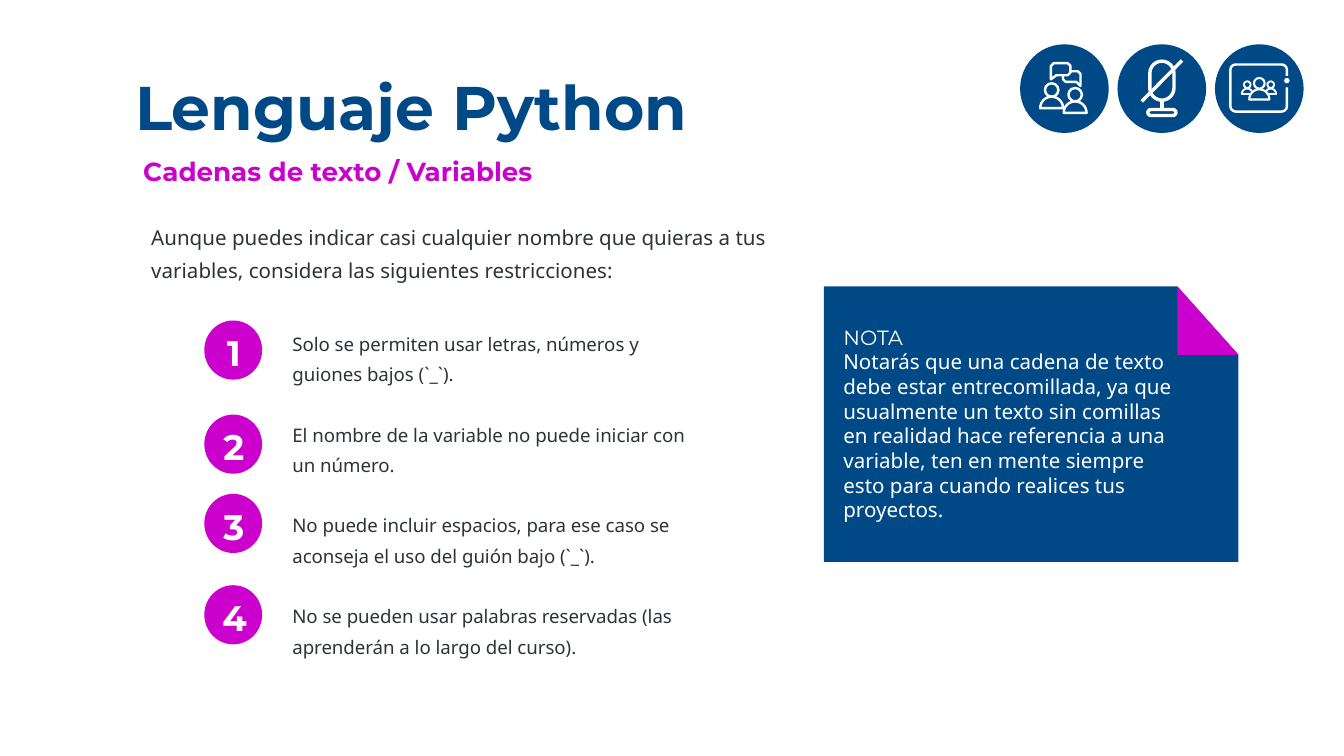
import math

import lxml.etree
import pptx
import pptx.dml.color
import pptx.enum.shapes
import pptx.enum.text
import pptx.oxml.ns
import pptx.util

RGBColor = pptx.dml.color.RGBColor
SHAPE = pptx.enum.shapes.MSO_SHAPE
ALIGN = pptx.enum.text.PP_ALIGN

BLUE = RGBColor(0x00, 0x49, 0x87)
MAGENTA = RGBColor(0xCC, 0x00, 0xCC)
WHITE = RGBColor(0xFF, 0xFF, 0xFF)
INK = RGBColor(0x2E, 0x33, 0x3A)
HEADING, BODY = "Montserrat", "Noto Sans"


def arc(center_x, center_y, radius_x, radius_y, start, end, steps=16):
    """Points on an ellipse, clockwise from the right, angles in degrees."""
    angles = [math.radians(start + (end - start) * step / steps) for step in range(steps + 1)]
    return [(center_x + radius_x * math.cos(a), center_y + radius_y * math.sin(a)) for a in angles]


class SlideBuilder:
    """Places elements on a grid of square cells, 100 columns across the slide."""

    def __init__(self, deck):
        self.cell = deck.slide_width / 100
        self.margin = pptx.util.Pt(5.4)
        self.shapes = deck.slides.add_slide(deck.slide_layouts[6]).shapes

    def grid(self, *cells):
        return [pptx.util.Emu(round(cell * self.cell)) for cell in cells]

    def paint(self, shape, fill, line, width):
        shape.shadow.inherit = False
        if fill is None:
            shape.fill.background()
        else:
            shape.fill.solid()
            shape.fill.fore_color.rgb = fill
        if line is None:
            shape.line.fill.background()
        else:
            shape.line.color.rgb = line
            shape.line.width = pptx.util.Pt(width)
        return shape

    def shape(self, kind, left, top, width, height, fill=None, line=None, weight=0.75, corner=None):
        shape = self.shapes.add_shape(kind, *self.grid(left, top, width, height))
        if corner is not None:
            shape.adjustments[0] = corner
        return self.paint(shape, fill, line, weight)

    def outline(self, points, closed=False, fill=None, line=None, weight=1.3):
        start, *rest = [self.grid(*point) for point in points]
        builder = self.shapes.build_freeform(*start)
        builder.add_line_segments(rest, close=closed)
        return self.paint(builder.convert_to_shape(), fill, line, weight)

    def line(self, start, end, color, weight):
        straight = pptx.enum.shapes.MSO_CONNECTOR.STRAIGHT
        connector = self.shapes.add_connector(straight, *self.grid(*start, *end))
        connector.line.color.rgb = color
        connector.line.width = pptx.util.Pt(weight)
        properties = connector._element.spPr
        lxml.etree.SubElement(properties, pptx.oxml.ns.qn("a:effectLst"))
        return connector

    def text(self, left, top, width, height, texts, size, color, fonts,
             bold=False, align=ALIGN.LEFT, spacing=None, gap=0):
        box = self.shapes.add_textbox(*self.grid(left, top, width, height))
        frame = box.text_frame
        frame.word_wrap = True
        frame.auto_size = pptx.enum.text.MSO_AUTO_SIZE.SHAPE_TO_FIT_TEXT
        frame.margin_left = frame.margin_right = self.margin
        frame.margin_top = frame.margin_bottom = self.margin
        for index, (content, font) in enumerate(zip(texts, fonts)):
            para = frame.add_paragraph() if index else frame.paragraphs[0]
            para.text = content
            para.alignment = align
            para.font.name, para.font.size = font, pptx.util.Pt(size)
            para.font.color.rgb, para.font.bold = color, bold
            if spacing:
                para.line_spacing = spacing
            if index and gap:
                para.space_before = pptx.util.Pt(gap)


def add_icons(page):
    # Round backgrounds
    for index in range(3):
        page.shape(SHAPE.OVAL, 75.9 + 7.25 * index, 3.3, 6.6, 6.6, fill=BLUE)

    # People talking: heads, shoulders and speech bubbles
    for x, y in [(78.25, 6.7), (80, 7.05)]:
        page.shape(SHAPE.OVAL, x - 0.5, y - 0.5, 1, 1, line=WHITE, weight=1.3)
        page.outline(arc(x, y + 1.35, 0.85, 0.85, 180, 360), closed=True, line=WHITE)
    page.outline([(78.2, 5.9), (78.2, 4.9), (78.4, 4.7), (79.45, 4.7), (79.65, 4.9),
                  (79.65, 5.4), (79.45, 5.6), (78.6, 5.6)], closed=True, line=WHITE)
    page.outline([(79.6, 5.3), (80.2, 5.3), (80.4, 5.5), (80.4, 6.4), (80.1, 6.1),
                  (79.3, 6.1), (79.1, 5.9), (79.1, 5.6)], line=WHITE)

    # Muted microphone
    capsule = page.shape(SHAPE.ROUNDED_RECTANGLE, 85.55, 4.55, 1.8, 2.9,
                         line=WHITE, weight=1.8, corner=0.5)
    base = page.shape(SHAPE.ROUNDED_RECTANGLE, 85.4, 8.15, 2.1, 0.45,
                      line=WHITE, weight=1.8, corner=0.5)
    stem = page.line((86.45, 7.45), (86.45, 8.15), WHITE, 1.8)
    stem.begin_connect(capsule, 2)
    stem.end_connect(base, 0)
    page.line((84.95, 7.55), (87.95, 4.5), WHITE, 1.8)

    # Screen with a gap on its right side, and a camera dot
    screen = [(95.75, 6.5)]
    for x, y, start in [(95.35, 7.9, 0), (91.95, 7.9, 90), (91.95, 5.2, 180), (95.35, 5.2, 270)]:
        screen += arc(x, y, 0.4, 0.4, start, start + 90, 6)
    page.outline(screen + [(95.75, 5.65)], line=WHITE)
    page.shape(SHAPE.OVAL, 95.55, 5.8, 0.4, 0.4, fill=WHITE)

    # Group on the screen
    page.shape(SHAPE.OVAL, 93.3, 5.8, 0.8, 0.8, line=WHITE, weight=1.1)
    page.outline(arc(93.7, 7.4, 0.75, 0.75, 180, 360), closed=True, line=WHITE, weight=1.1)
    for x, side in [(92.8, 1), (94.55, -1)]:
        page.shape(SHAPE.OVAL, x - 0.25, 6.05, 0.5, 0.5, line=WHITE, weight=1)
        shoulder = [(x + side * math.cos(angle) * 0.4, 7 + math.sin(angle) * 0.4)
                    for angle in map(math.radians, range(180, 331, 15))]
        page.outline([(x + side * 0.3, 7)] + shoulder, line=WHITE, weight=1)


def main():
    deck = pptx.Presentation()
    deck.slide_width = pptx.util.Inches(10)
    deck.slide_height = deck.slide_width * 9 // 16
    page = SlideBuilder(deck)

    add_icons(page)

    # Headings
    page.text(9.3, 4.4, 50.4, 7.1, ["Lenguaje Python"], 33, BLUE, [HEADING], bold=True)
    page.text(9.9, 10.8, 34.1, 3.9, ["Cadenas de texto / Variables"], 14, MAGENTA,
              [HEADING], bold=True)

    # Rules for variable names
    rules = [
        "Solo se permiten usar letras, números y guiones bajos (`_`).",
        "El nombre de la variable no puede iniciar con un número.",
        "No puede incluir espacios, para ese caso se aconseja el uso del guión bajo (`_`).",
        "No se pueden usar palabras reservadas (las aprenderán a lo largo del curso).",
    ]
    page.text(21, 23.4, 30.8, 28.5, rules, 10, INK, [BODY] * len(rules), spacing=1.36, gap=16)

    # Numbered badges
    for number, top in enumerate([23.9, 30.9, 36.8, 43.6], start=1):
        page.shape(SHAPE.OVAL, 15.25, top, 4.2, 4.3, fill=MAGENTA, line=MAGENTA)
        page.text(15.8, top, 3.2, 4.7, [str(number)], 19, WHITE, [HEADING],
                  bold=True, align=ALIGN.CENTER)

    # Note with a folded corner
    left, top, right, bottom = 61.3, 21.3, 92.15, 41.8
    fold_x, fold_y = 87.6, 26.4
    page.outline([(left, top), (fold_x, top), (right, fold_y), (right, bottom), (left, bottom)],
                 closed=True, fill=BLUE)
    page.shape(SHAPE.RIGHT_TRIANGLE, fold_x, top, right - fold_x, fold_y - top, fill=MAGENTA)
    note = ("Notarás que una cadena de texto debe estar entrecomillada, ya que usualmente "
            "un texto sin comillas en realidad hace referencia a una variable, ten en mente "
            "siempre esto para cuando realices tus proyectos.")
    page.text(62, 23.4, 27, 16.3, ["NOTA", note], 11, WHITE, [HEADING, BODY])

    # Introduction
    intro = ("Aunque puedes indicar casi cualquier nombre que quieras a tus variables, "
             "considera las siguientes restricciones:")
    page.text(10.5, 15.3, 52.3, 5.9, [intro], 11, INK, [BODY], spacing=1.36)

    deck.save("out.pptx")


if __name__ == "__main__":
    main()
